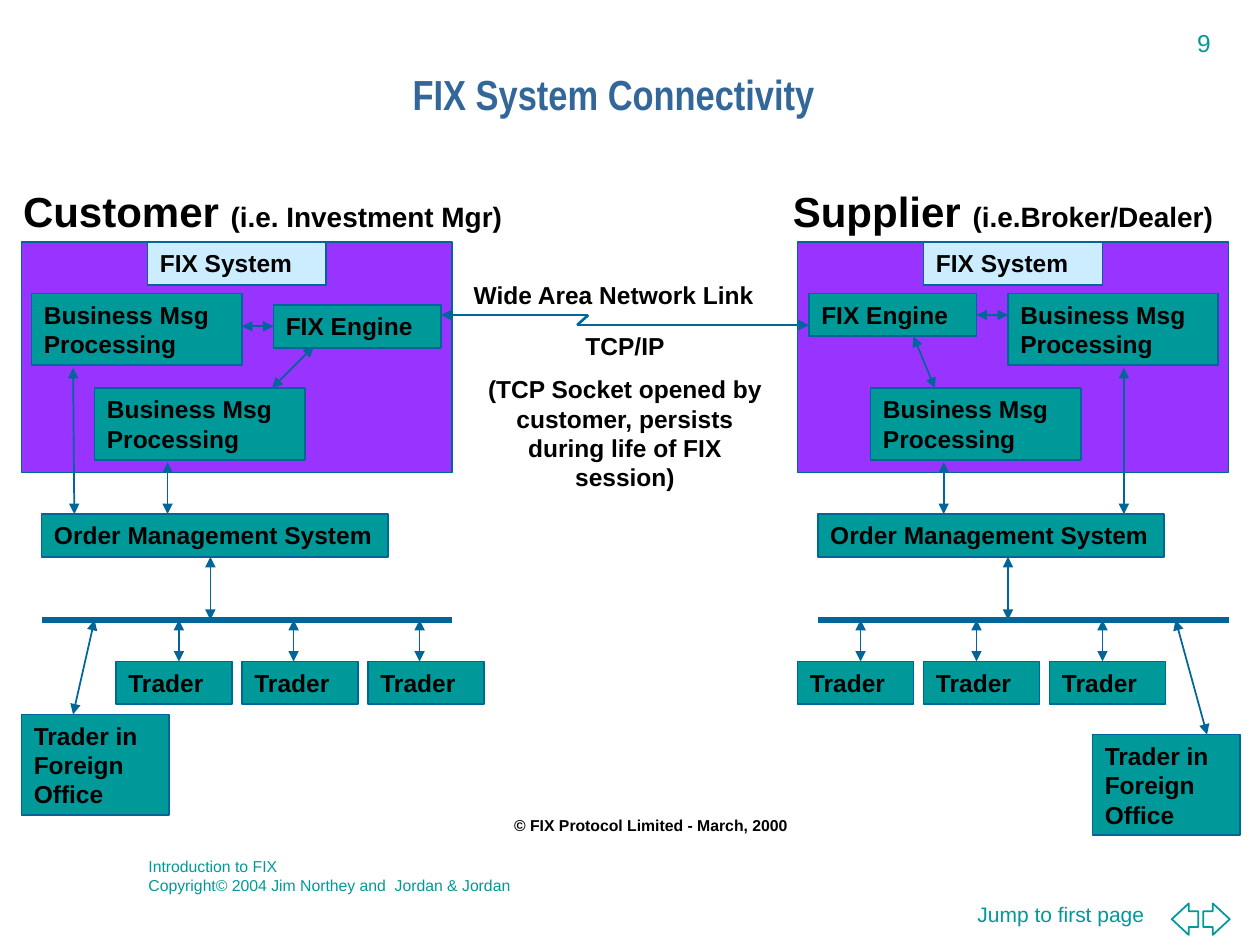
from dataclasses import dataclass
from typing import Optional

import pptx
import pptx.dml.color
import pptx.enum.shapes
import pptx.enum.text
import pptx.oxml.ns
import pptx.util
from lxml import etree
from pptx.util import Inches

COLORS = {
    "white": "FFFFFF",
    "ink": "010000",
    "teal": "009999",
    "edge": "006699",
    "panel": "9933FF",
    "label": "CCECFF",
    "title": "336699",
}
SHAPE = pptx.enum.shapes.MSO_SHAPE
ALIGN = pptx.enum.text.PP_ALIGN
ANCHOR = pptx.enum.text.MSO_ANCHOR
ROW_HEIGHT = 0.34
BUS_Y = 4.92
TRADER_Y = 5.25
ORDER_Y = 4.08

Point = tuple[float, float]


@dataclass
class Block:
    left: float
    top: float
    width: float
    height: float
    text: str = ""
    fill: str = "teal"


@dataclass
class Arrow:
    start: Point
    end: Point
    width: float = 1
    head: bool = True
    tail: bool = True


@dataclass
class Side:
    """One firm: shared parts hang on `left`, the rest is placed on its own."""
    left: float
    engine: Block
    processing_left: float
    engine_side: int
    engine_arrow: Arrow
    traders_left: float
    trader_arrows: list[float]
    office: Block
    arrows: list[Arrow]


def rgb(name: str) -> pptx.dml.color.RGBColor:
    return pptx.dml.color.RGBColor.from_string(COLORS[name])


def format_text(frame, size: float, color: str = "ink", bold: bool = True,
                align=ALIGN.LEFT, font: str = "Arial") -> None:
    for para in frame.paragraphs:
        para.alignment = align
        for span in para.runs:
            span.font.name = font
            span.font.size = pptx.util.Pt(size)
            span.font.bold = bold
            span.font.color.rgb = rgb(color)


def add_text(page, block: Block, size: float, color: str = "ink", bold: bool = True,
             align=ALIGN.CENTER, wrap: bool = True, anchor=ANCHOR.TOP):
    box = page.shapes.add_textbox(Inches(block.left), Inches(block.top),
                                  Inches(block.width), Inches(block.height))
    frame = box.text_frame
    frame.word_wrap = wrap
    frame.vertical_anchor = anchor
    frame.text = block.text
    format_text(frame, size, color, bold, align)
    return box


def add_block(page, block: Block, kind=SHAPE.RECTANGLE, edge: str = "edge"):
    shape = page.shapes.add_shape(kind, Inches(block.left), Inches(block.top),
                                  Inches(block.width), Inches(block.height))
    shape.shadow.inherit = False
    shape.fill.solid()
    shape.fill.fore_color.rgb = rgb(block.fill)
    shape.line.color.rgb = rgb(edge)
    shape.line.width = pptx.util.Pt(1)
    if block.text:
        shape.text_frame.word_wrap = True
        shape.text_frame.vertical_anchor = ANCHOR.TOP
        shape.text_frame.text = block.text
        format_text(shape.text_frame, 14)
    return shape


def add_arrow(page, arrow: Arrow):
    (x1, y1), (x2, y2) = arrow.start, arrow.end
    line = page.shapes.add_connector(pptx.enum.shapes.MSO_CONNECTOR.STRAIGHT,
                                     Inches(x1), Inches(y1), Inches(x2), Inches(y2))
    line.line.color.rgb = rgb("edge")
    line.line.width = pptx.util.Pt(arrow.width)
    outline = line.line._get_or_add_ln()
    for tag, shown in (("a:headEnd", arrow.head), ("a:tailEnd", arrow.tail)):
        if shown:
            etree.SubElement(outline, pptx.oxml.ns.qn(tag), type="triangle")
    etree.SubElement(line._element.spPr, pptx.oxml.ns.qn("a:effectLst"))
    return line


def add_heading(page, left: float, width: float, name: str, example: str) -> None:
    box = add_text(page, Block(left, 1.42, width, 0.5, name), 24)
    span = box.text_frame.paragraphs[0].add_run()
    span.text = example
    format_text(box.text_frame, 16, align=ALIGN.CENTER)
    box.text_frame.paragraphs[0].runs[0].font.size = pptx.util.Pt(24)


def add_side(page, side: Side) -> None:
    left = side.left
    processing = "Business Msg Processing"
    add_block(page, Block(left, 1.92, 3.42, 1.83, fill="panel"))
    add_block(page, Block(left + 1, 1.92, 1.42, ROW_HEIGHT, "FIX System", "label"))
    add_block(page, Block(side.processing_left, 2.33, 1.67, 0.57, processing))
    add_block(page, Block(left + 0.58, 3.08, 1.67, 0.57, processing))
    add_block(page, Block(left + 0.16, ORDER_Y, 2.75, ROW_HEIGHT, "Order Management System"))
    engine = add_block(page, side.engine)
    for index in range(3):
        add_block(page, Block(side.traders_left + index, TRADER_Y, 0.92, ROW_HEIGHT, "Trader"))
    add_block(page, side.office)

    add_arrow(page, Arrow((left + 0.16, BUS_Y), (left + 3.42, BUS_Y), 3, False, False))
    add_arrow(page, Arrow((left + 1.16, 3.67), (left + 1.16, ORDER_Y)))
    for x in side.trader_arrows:
        add_arrow(page, Arrow((x, BUS_Y), (x, TRADER_Y)))
    for arrow in side.arrows:
        add_arrow(page, arrow)
    add_arrow(page, side.engine_arrow).begin_connect(engine, side.engine_side)


CUSTOMER = Side(
    left=0.17,
    engine=Block(2.17, 2.42, 1.33, ROW_HEIGHT, "FIX Engine"),
    processing_left=0.25,
    engine_side=1,
    engine_arrow=Arrow((2.17, 2.59), (1.92, 2.59)),
    traders_left=0.92,
    trader_arrows=[1.42, 2.33, 3.33],
    office=Block(0.17, 5.67, 1.17, 0.8, "Trader in Foreign Office"),
    arrows=[
        Arrow((0.58, 2.92), (0.59, ORDER_Y)),
        Arrow((1.67, 4.42), (1.67, BUS_Y)),
        Arrow((0.75, BUS_Y), (0.58, 5.67)),
        Arrow((2.49, 2.75), (2.16, 3.08)),
    ],
)
SUPPLIER = Side(
    left=6.33,
    engine=Block(6.42, 2.33, 1.33, ROW_HEIGHT, "FIX Engine"),
    processing_left=8,
    engine_side=3,
    engine_arrow=Arrow((7.75, 2.5), (8, 2.5)),
    traders_left=6.33,
    trader_arrows=[6.83, 7.75, 8.75],
    office=Block(8.67, 5.83, 1.17, 0.8, "Trader in Foreign Office"),
    arrows=[
        Arrow((8.92, 2.92), (8.92, ORDER_Y)),
        Arrow((8, 4.42), (8, BUS_Y)),
        Arrow((9.33, BUS_Y), (9.58, 5.83)),
        Arrow((7.25, 2.67), (7.42, 3.08)),
    ],
)
NETWORK_LINK = [
    Arrow((3.5, 2.5), (4.67, 2.5), 1.5, tail=False),
    Arrow((4.67, 2.5), (4.58, 2.58), 1.5, False, False),
    Arrow((4.58, 2.58), (6.42, 2.58), 1.5, head=False),
]
NETWORK_NOTES = [
    Block(3.58, 2.17, 2.58, ROW_HEIGHT, "Wide Area Network Link"),
    Block(3.67, 2.58, 2.58, ROW_HEIGHT, "TCP/IP"),
    Block(3.67, 2.92, 2.58, 0.8,
          "(TCP Socket opened by customer, persists during life of FIX session)"),
]


def add_title(page, text: str) -> None:
    title = page.shapes.title
    title.left, title.top = Inches(1.58), Inches(0.42)
    title.width, title.height = Inches(6.58), Inches(0.75)
    frame = title.text_frame
    frame.auto_size = pptx.enum.text.MSO_AUTO_SIZE.NONE
    frame.vertical_anchor = ANCHOR.MIDDLE
    frame.text = text
    frame.paragraphs[0].line_spacing = 0.7
    format_text(frame, 24, "title", align=ALIGN.CENTER, font="Arial Narrow")


def add_page_furniture(page) -> None:
    add_text(page, Block(7.66, 7.11, 1.67, 0.46, "Jump to first page"), 12, "teal", False, ALIGN.LEFT)
    for left, kind in ((9.3, SHAPE.LEFT_ARROW), (9.55, SHAPE.RIGHT_ARROW)):
        arrow = add_block(page, Block(left, 7.17, 0.21, 0.25, fill="white"), kind, "teal")
        arrow.adjustments[1] = 0.64
    add_text(page, Block(9.01, 0.17, 1.09, ROW_HEIGHT, "9"), 14, "teal", False, wrap=False)
    add_text(page, Block(1.08, 6.75, 6.92, 0.4,
                         "Introduction to FIX\vCopyright© 2004 Jim Northey and  Jordan & Jordan"),
             9, "teal", False, ALIGN.LEFT)
    add_text(page, Block(3.25, 6.42, 3.83, 0.25, "© FIX Protocol Limited - March, 2000"),
             9, wrap=False, anchor=ANCHOR.MIDDLE)


def main() -> None:
    deck = pptx.Presentation()
    deck.slide_width, deck.slide_height = Inches(10), Inches(7.5)
    page = deck.slides.add_slide(deck.slide_layouts[5])
    add_title(page, "FIX System Connectivity")
    add_page_furniture(page)
    for side in (CUSTOMER, SUPPLIER):
        add_side(page, side)
    add_heading(page, 0, 4.17, "Customer ", "(i.e. Investment Mgr)")
    add_heading(page, 6.17, 3.58, "Supplier ", "(i.e.Broker/Dealer)")
    for arrow in NETWORK_LINK:
        add_arrow(page, arrow)
    for note in NETWORK_NOTES:
        add_text(page, note, 14)
    deck.save("out.pptx")


if __name__ == "__main__":
    main()
